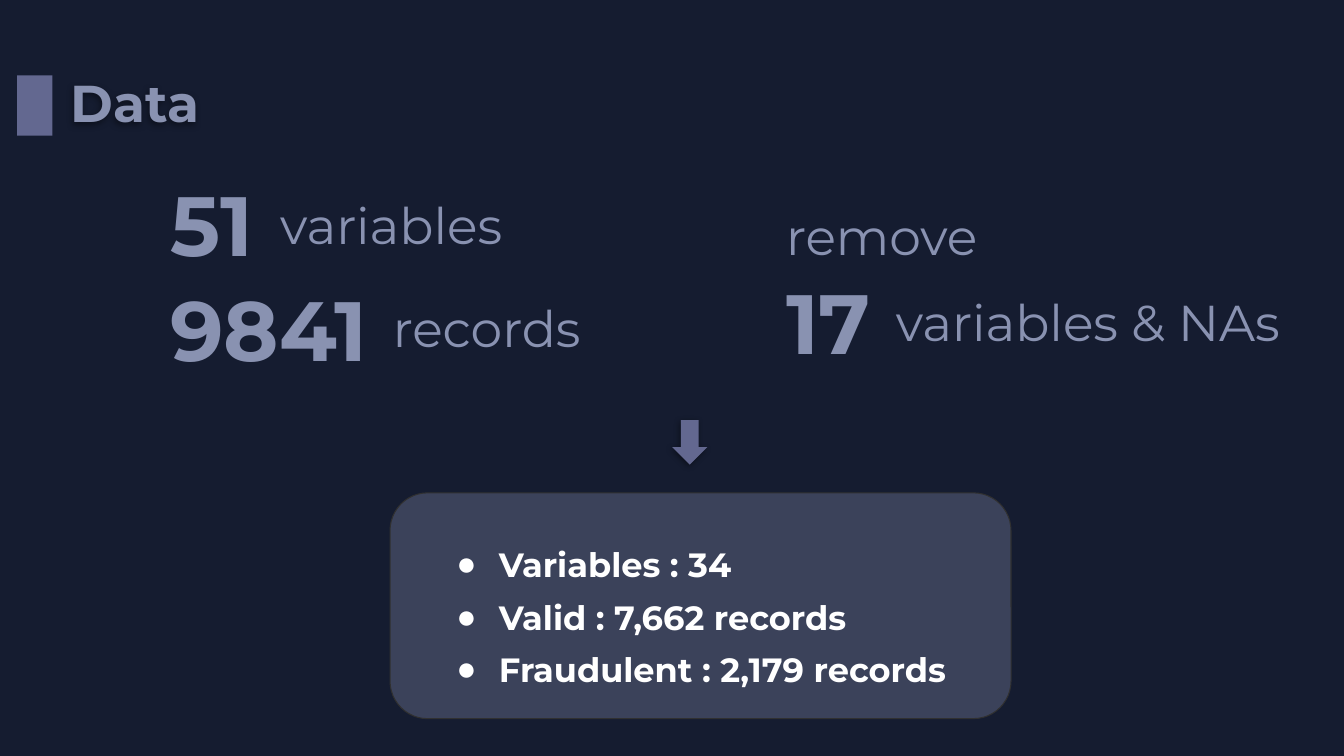
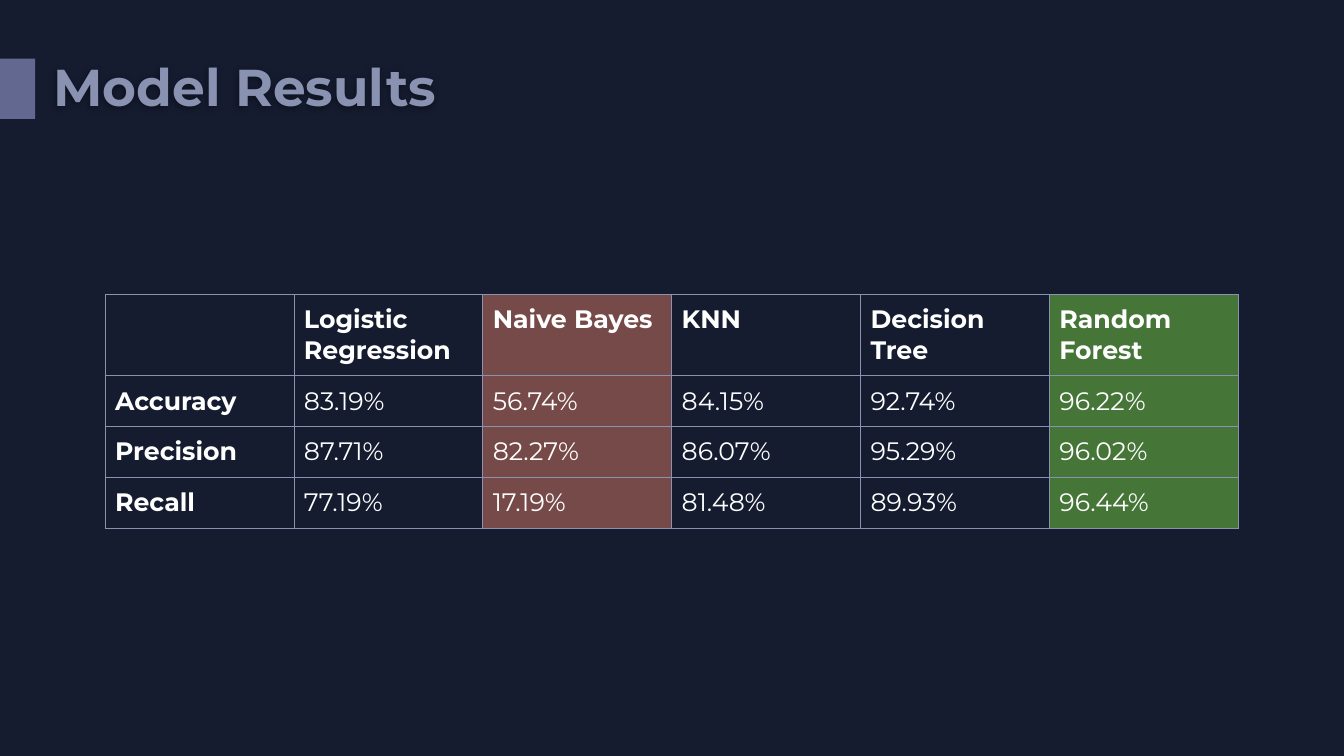
from lxml import etree
from pptx import Presentation
from pptx import util as u
from pptx.dml import color
from pptx.enum import shapes, text
from pptx.oxml import ns

Cm, Pt = u.Cm, u.Pt
COLORS = {
    "background": "151C30",
    "muted": "8992B1",
    "accent": "636890",
    "outline": "303030",
    "white": "FFFFFF",
    "worst": "C7705F",
    "best": "57943C",
    "shadow": "000000",
}
TITLE_ONLY, TITLE_AND_BODY = 5, 1


def add_xml(parent, tag, **attributes):
    return etree.SubElement(parent, ns.qn(tag), attributes)


def rgb(name):
    return color.RGBColor.from_string(COLORS[name])


def paint(fill, name, opacity=None):
    """Fill with a named colour; opacity is a percentage."""
    fill.solid()
    fill.fore_color.rgb = rgb(name)
    if opacity is not None:
        srgb = fill._xPr.find(".//" + ns.qn("a:srgbClr"))
        add_xml(srgb, "a:alpha", val=str(opacity * 1000))


def cast_shadow(shape):
    shape.shadow.inherit = False
    effects = shape._element.spPr.find(ns.qn("a:effectLst"))
    shadow = add_xml(effects, "a:outerShdw", blurRad=str(Pt(4.5)), dist=str(Pt(1.5)),
                     dir=str(140 * 60000), algn="ctr", rotWithShape="0")
    srgb = add_xml(shadow, "a:srgbClr", val=COLORS["shadow"])
    add_xml(srgb, "a:alpha", val="41000")


class Deck:
    font_name = "Montserrat"

    def __init__(self):
        self.presentation = Presentation()
        self.presentation.slide_width = Cm(33.87)
        self.presentation.slide_height = Cm(19.05)
        paint(self.presentation.slide_master.background.fill, "background")
        self.slide = None

    def start_slide(self, layout, title, left, top):
        """Add a slide whose title stands right of a marker at left, top."""
        self.slide = self.presentation.slides.add_slide(
            self.presentation.slide_layouts[layout])
        heading = self.slide.shapes.title
        self.place(heading, left + 1.09, top - 0.28, 18.44, 2.11)
        self.set_lines(heading.text_frame, [title], 37, "muted", True, 0.9)
        heading.text_frame.vertical_anchor = text.MSO_ANCHOR.MIDDLE
        cast_shadow(heading)
        self.shape(shapes.MSO_SHAPE.RECTANGLE, left, top, 0.89, 1.52, "accent")

    def place(self, shape, left, top, width, height):
        shape.left, shape.top = Cm(left), Cm(top)
        shape.width, shape.height = Cm(width), Cm(height)

    def style(self, paragraph, size, color_name, bold):
        paragraph.alignment = text.PP_ALIGN.LEFT
        font = paragraph.font
        font.name, font.size, font.bold = self.font_name, Pt(size), bold
        font.color.rgb = rgb(color_name)

    def set_lines(self, frame, lines, size, color_name, bold, spacing, gap=0, bullet=None):
        frame.word_wrap = True
        frame.auto_size = text.MSO_AUTO_SIZE.NONE
        for index, line in enumerate(lines):
            paragraph = frame.add_paragraph() if index else frame.paragraphs[0]
            paragraph.text = line
            if bullet:
                properties = paragraph._p.get_or_add_pPr()
                properties.set("marL", str(Cm(1.27)))
                properties.set("indent", str(Cm(-1.07)))
                bullet_color = add_xml(properties, "a:buClr")
                add_xml(bullet_color, "a:srgbClr", val=COLORS[color_name])
                add_xml(properties, "a:buChar", char=bullet)
            paragraph.line_spacing = spacing
            paragraph.space_before = Pt(gap if index else 0)
            self.style(paragraph, size, color_name, bold)

    def shape(self, kind, left, top, width, height, fill, opacity=None):
        shape = self.slide.shapes.add_shape(
            kind, Cm(left), Cm(top), Cm(width), Cm(height))
        shape.shadow.inherit = False
        paint(shape.fill, fill, opacity)
        shape.line.fill.background()
        return shape

    def words(self, left, top, line):
        box = self.slide.shapes.add_textbox(Cm(left), Cm(top), Cm(11.2), Cm(3.02))
        self.set_lines(box.text_frame, [line], 36, "muted", False, 0.9)

    def numbers(self, left, top, *lines):
        box = self.slide.shapes.add_textbox(Cm(left), Cm(top), Cm(6.53), Cm(3.02))
        self.set_lines(box.text_frame, lines, 60, "muted", True, 0.9, gap=10)

    def bullets(self, left, top, width, height, lines):
        body = self.slide.placeholders[1]
        self.place(body, left, top, width, height)
        self.set_lines(body.text_frame, lines, 24, "white", True, 1.3, bullet="●")
        # Bring the list in front of the panel.
        self.slide.shapes._spTree.append(body._element)

    def table(self, left, top, column_width, row_heights, rows, highlights):
        """Draw rows; highlights maps a column index to (colour, opacity)."""
        columns = len(rows[0])
        table = self.slide.shapes.add_table(
            len(rows), columns, Cm(left), Cm(top),
            Cm(column_width * columns), Cm(sum(row_heights))).table
        table.first_row = table.horz_banding = False
        for column in table.columns:
            column.width = Cm(column_width)
        for i, row in enumerate(rows):
            table.rows[i].height = Cm(row_heights[i])
            for j, value in enumerate(row):
                self.cell(table.cell(i, j), value, i == 0 or j == 0, highlights.get(j))

    def cell(self, cell, value, bold, highlight):
        cell.text = value
        cell.margin_left = cell.margin_right = Cm(0.25)
        cell.margin_top = cell.margin_bottom = Cm(0.25)
        self.style(cell.text_frame.paragraphs[0], 18, "white", bold)
        if highlight:
            paint(cell.fill, *highlight)
        else:
            cell.fill.background()
        properties = cell._tc.get_or_add_tcPr()
        for index, side in enumerate("LRTB"):
            border = add_xml(properties, "a:ln" + side, w=str(Pt(0.75)))
            add_xml(add_xml(border, "a:solidFill"), "a:srgbClr", val=COLORS["muted"])
            properties.insert(index, border)


def data_slide(deck):
    deck.start_slide(TITLE_AND_BODY, "Data", 0.43, 1.9)
    deck.words(6.81, 4.93, "variables")
    deck.numbers(4.04, 4.52, "51", "9841")
    deck.words(9.65, 7.54, "records")
    deck.words(22.33, 7.39, "variables & NAs")
    deck.numbers(19.56, 6.99, "17")
    deck.words(19.56, 5.21, "remove")
    panel = deck.shape(shapes.MSO_SHAPE.ROUNDED_RECTANGLE,
                       9.83, 12.42, 15.65, 5.69, "muted", 33)
    panel.line.color.rgb = rgb("outline")
    panel.line.width = Pt(0.75)
    deck.bullets(11.05, 13.28, 15.65, 4.22, [
        "Variables : 34", "Valid : 7,662 records", "Fraudulent : 2,179 records"])
    arrow = deck.shape(shapes.MSO_SHAPE.DOWN_ARROW, 16.94, 10.59, 0.89, 1.12, "accent")
    cast_shadow(arrow)


def results_slide(deck):
    deck.start_slide(TITLE_ONLY, "Model Results", 0, 1.48)
    rows = [
        ["", "Logistic Regression", "Naive Bayes", "KNN", "Decision Tree", "Random Forest"],
        ["Accuracy", "83.19%", "56.74%", "84.15%", "92.74%", "96.22%"],
        ["Precision", "87.71%", "82.27%", "86.07%", "95.29%", "96.02%"],
        ["Recall", "77.19%", "17.19%", "81.48%", "89.93%", "96.44%"],
    ]
    deck.table(2.65, 7.42, 4.76, [2.04, 1.28, 1.28, 1.28], rows,
               {2: ("worst", 55), 5: ("best", 75)})


def main():
    deck = Deck()
    data_slide(deck)
    results_slide(deck)
    deck.presentation.save("out.pptx")


if __name__ == "__main__":
    main()
